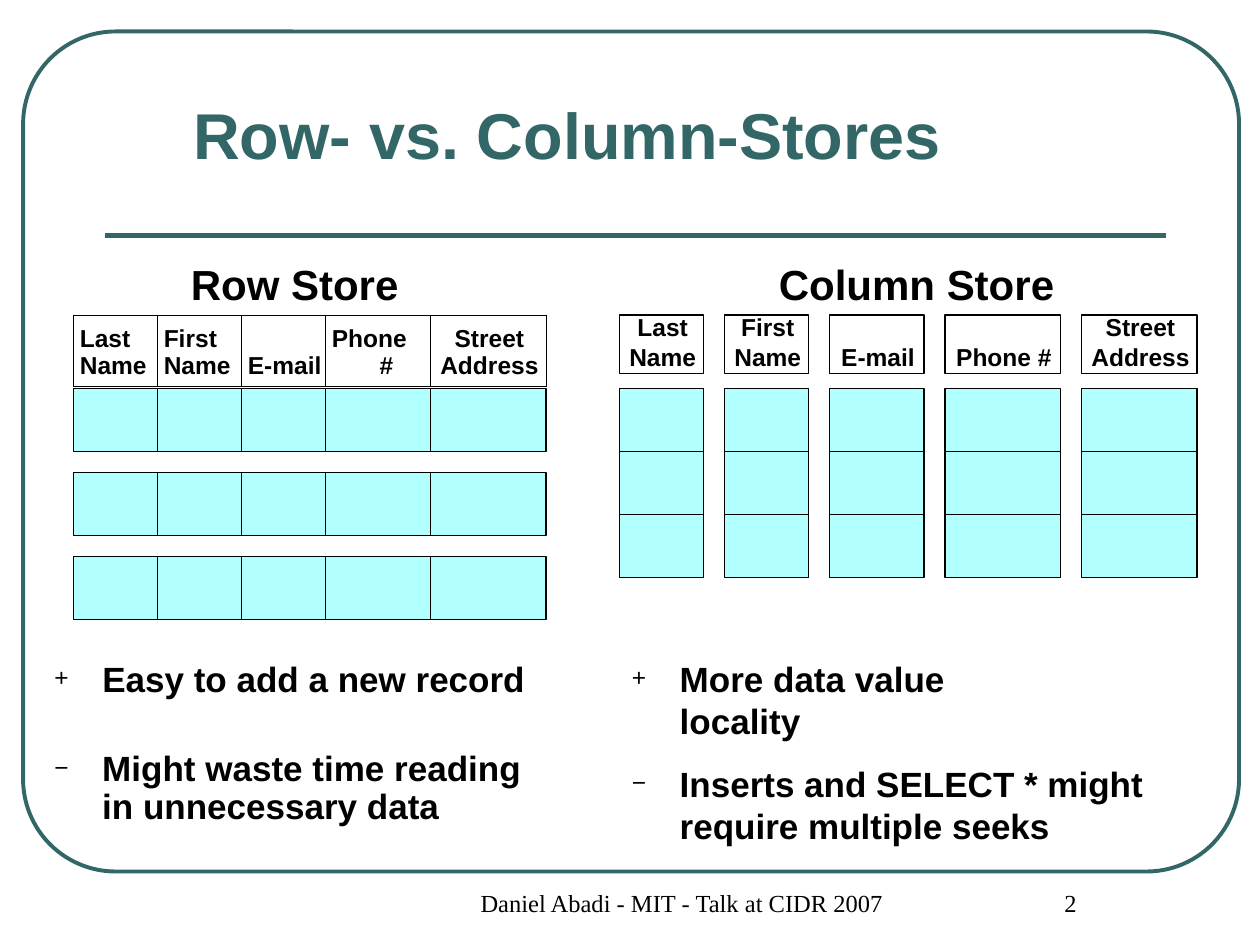
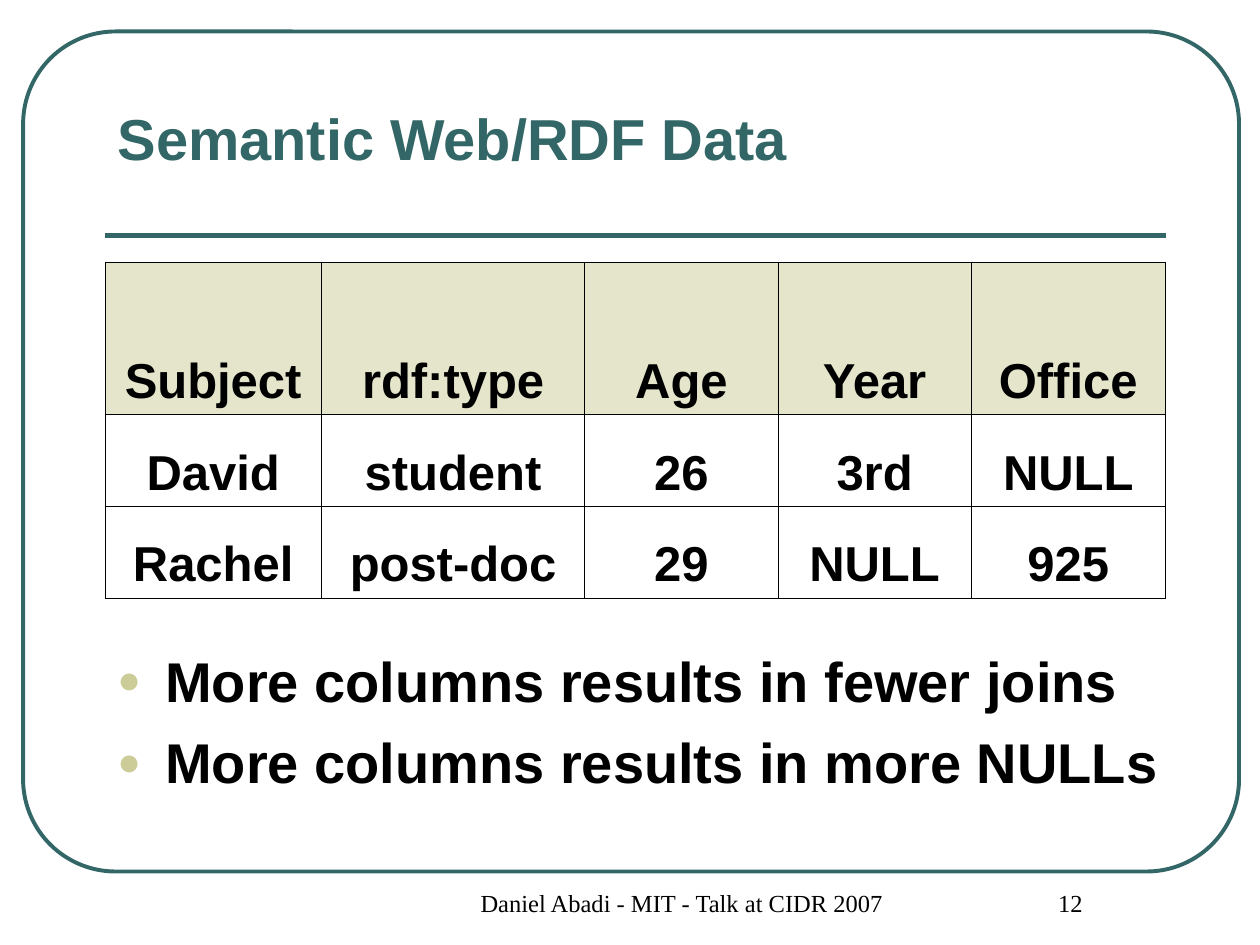
from dataclasses import dataclass
from itertools import accumulate

from pptx import Presentation, util as u
from pptx.dml.color import RGBColor
from pptx.enum import shapes, text
from pptx.oxml import ns, parse_xml


@dataclass(frozen=True)
class Theme:
    teal: str = "336666"
    sand: str = "CCCC99"
    cyan: str = "00FFFF"
    ink: str = "000000"
    paper: str = "FFFFFF"
    sans: str = "Arial"
    serif: str = "Times New Roman"
    small: int = 14
    body: int = 20
    head: int = 24
    cell: int = 28
    point: int = 32
    thin: float = 0.75
    edge: float = 0.45


T = Theme()
COLS, ROWS = 120, 90          # slide grid: 12 steps to the inch
STEP = u.Inches(10) // COLS
LEFT, MID = text.PP_ALIGN.LEFT, text.PP_ALIGN.CENTER
BASE = text.MSO_ANCHOR.BOTTOM
PAD = (0.1, 0.05, 0.1, 0.05)
SLIM = (0.05, 0.05, 0.03, 0.05)
HANG = (0.38, -0.38)
FOOT = "Daniel Abadi - MIT - Talk at CIDR 2007"
HEADS = ["Last\nName", "First\nName", "E-mail", "Phone #", "Street\nAddress"]


def grid(*vals):
    return [round(v * STEP) for v in vals]


def rgb(hue):
    return RGBColor.from_string(hue)


def node(tag, body="", **attrs):
    pairs = " ".join(f'{k}="{v}"' for k, v in attrs.items())
    return parse_xml(f'<a:{tag} {ns.nsdecls("a")} {pairs}>{body}</a:{tag}>')


def solid(hue):
    return f'<a:solidFill><a:srgbClr val="{hue}"/></a:solidFill>'


def tint(part, props, hue, share):
    """Fill a shape or cell with a partly clear colour."""
    part.fill.solid()
    part.fill.fore_color.rgb = rgb(hue)
    fill = props.find(ns.qn("a:solidFill"))
    fill[0].append(node("alpha", val=share * 1000))


# Text
def inset(part, pad):
    sides = ("margin_left", "margin_top", "margin_right", "margin_bottom")
    for side, val in zip(sides, pad):
        setattr(part, side, u.Inches(val))


def style(frame, size, hue=T.ink, face=T.sans, bold=True, align=LEFT,
          hang=None, mark=None, tone=T.ink, gap=0, lead=None):
    for i, par in enumerate(frame.paragraphs):
        par.alignment = align
        props = par._p.get_or_add_pPr()
        if hang:
            props.set("marL", str(u.Inches(hang[0])))
            props.set("indent", str(u.Inches(hang[1])))
        if mark:
            props.append(node("buClr", f'<a:srgbClr val="{tone}"/>'))
            props.append(node("buSzPct", val=70000))
            props.append(node("buFont", typeface=T.sans))
            props.append(node("buChar", char=mark))
        if i and gap:
            par.space_before = u.Pt(gap)
        if lead:
            par.line_spacing = lead
        for run in par.runs:
            font = run.font
            font.name, font.size, font.bold = face, u.Pt(size), bold
            font.color.rgb = rgb(hue)


def label(slide, box, words, size, **look):
    frame = slide.shapes.add_textbox(*grid(*box)).text_frame
    frame.word_wrap = True
    inset(frame, PAD)
    frame.text = words
    style(frame, size, **look)


# Outlines and lines
def plate(slide, box, hue=T.ink, width=T.thin, kind="RECTANGLE"):
    shape = slide.shapes.add_shape(shapes.MSO_SHAPE[kind], *grid(*box))
    shape.shadow.inherit = False
    shape.fill.background()
    shape.line.color.rgb = rgb(hue)
    shape.line.width = u.Pt(width)
    return shape


def rule(slide, ends, hue=T.ink, width=T.thin):
    line = slide.shapes.add_connector(shapes.MSO_CONNECTOR.STRAIGHT, *grid(*ends))
    line.line.color.rgb = rgb(hue)
    line.line.width = u.Pt(width)
    line._element.spPr.append(node("effectLst"))


def block(slide, box, cuts, down):
    """Cyan bar cut by upright lines (down) or by level ones."""
    x, y, w, h = box
    bar = plate(slide, box)
    tint(bar, bar._element.spPr, T.cyan, 30)
    for cut in cuts:
        if down:
            rule(slide, (x + cut, y, x + cut, y + h))
        else:
            rule(slide, (x, y + cut, x + w, y + cut))


# Tables
def table(slide, box, wides, highs, rows, size, pad, top, aligns):
    """Ruled table; top is the colour and share of the first row."""
    made = slide.shapes.add_table(len(rows), len(wides), *grid(*box)).table
    made.first_row = made.horz_banding = False
    for col, wide in zip(made.columns, grid(*wides)):
        col.width = wide
    for row, high in zip(made.rows, grid(*highs)):
        row.height = high
    for r, row in enumerate(rows):
        for c, words in enumerate(row):
            cell = made.cell(r, c)
            inset(cell, pad)
            cell.vertical_anchor = BASE
            props = cell._tc.get_or_add_tcPr()
            for side in "LRTB":
                props.append(node("ln" + side, solid(T.ink), w=u.Pt(T.edge)))
            tint(cell, props, *(top if r == 0 else (T.paper, 100)))
            cell.text_frame.text = words
            style(cell.text_frame, size, align=aligns[c], hang=HANG)


# Shared slide parts
def sheet(deck, title, size, align, page):
    slide = deck.slides.add_slide(deck.slide_layouts[5])
    frame = plate(slide, (2.2, 3, 115.8, 80), T.teal, 2.25, "ROUNDED_RECTANGLE")
    frame.adjustments[0] = 0.11
    rule(slide, (10, 22.4, 111, 22.4), T.teal, 3)

    head = slide.shapes.title
    head.left, head.top, head.width, head.height = grid(10, 4, 88, 13)
    body = head.text_frame
    inset(body, PAD)
    body.word_wrap = True
    body.auto_size = text.MSO_AUTO_SIZE.NONE
    body.vertical_anchor = BASE
    body.text = title
    style(body, size, T.teal, align=align)

    for box, words in (((38, 84, 51, 6), FOOT), ((90, 84, 21, 6), page)):
        label(slide, box, words, T.small, face=T.serif, bold=False,
              align=MID, hang=(0.24, 0))
    return slide


# Left half: records kept whole
def rows_side(slide, x, y):
    wides = [8, 8, 8, 10, 11]
    full = sum(wides)
    label(slide, (x + 10, y, 28, 6), "Row Store", T.head)
    table(slide, (x, y + 6, full, 6), wides, [6], [HEADS], T.small, SLIM,
          (T.paper, 50), [LEFT] * 4 + [MID])
    cuts = list(accumulate(wides))[:-1]
    for i in range(3):
        block(slide, (x, y + 13 + 8 * i, full, 6), cuts, True)
    look = dict(hang=HANG)
    label(slide, (x - 3, y + 38, 50, 7), "Easy to add a new record",
          T.body, mark="+", **look)
    label(slide, (x - 3, y + 47, 48, 9),
          "Might waste time reading in unnecessary data",
          T.body, mark="−", lead=0.9, **look)


# Right half: each attribute kept apart
def cols_side(slide, x, y):
    wides, gap = [8, 8, 9, 11, 11], 2
    label(slide, (x + 14, y, 31, 6), "Column Store", T.head)
    left = x
    for words, wide in zip(HEADS, wides):
        head = plate(slide, (left, y + 6, wide, 5.6))
        frame = head.text_frame
        frame.word_wrap = True
        frame.vertical_anchor = BASE
        inset(frame, (0.05, 0, 0.03, 0.02))
        frame.text = words.replace("\n", " ")
        style(frame, T.small, align=MID)
        block(slide, (left, y + 13, wide, 18), (6, 12), False)
        left += wide + gap
    label(slide, (x, y + 38, 41, 14), "More data value locality",
          T.body, hang=HANG, mark="+")
    label(slide, (x, y + 48, 53, 14),
          "Inserts and SELECT * might require multiple seeks",
          T.body, hang=HANG, mark="−")


def stores(deck):
    slide = sheet(deck, "Row- vs. Column-Stores", 37, MID, "2")
    rows_side(slide, 7, 24)
    cols_side(slide, 59, 24)


def triples(deck):
    slide = sheet(deck, "Semantic Web/RDF Data", 33, LEFT, "12")
    rows = [["Subject", "rdf:type", "Age", "Year", "Office"],
            ["David", "student", "26", "3rd", "NULL"],
            ["Rachel", "post-doc", "29", "NULL", "925"]]
    table(slide, (10, 25, 101, 32), [20.6, 25.1, 18.4, 18.4, 18.5],
          [14.5, 8.75, 8.75], rows, T.cell, PAD, (T.sand, 50), [MID] * 5)
    label(slide, (10, 61, 104, 20),
          "More columns results in fewer joins\n"
          "More columns results in more NULLs",
          T.point, hang=HANG, mark="●", tone=T.sand, gap=8)


def main():
    deck = Presentation()
    deck.slide_width, deck.slide_height = grid(COLS, ROWS)
    stores(deck)
    triples(deck)
    deck.save("out.pptx")


if __name__ == "__main__":
    main()
